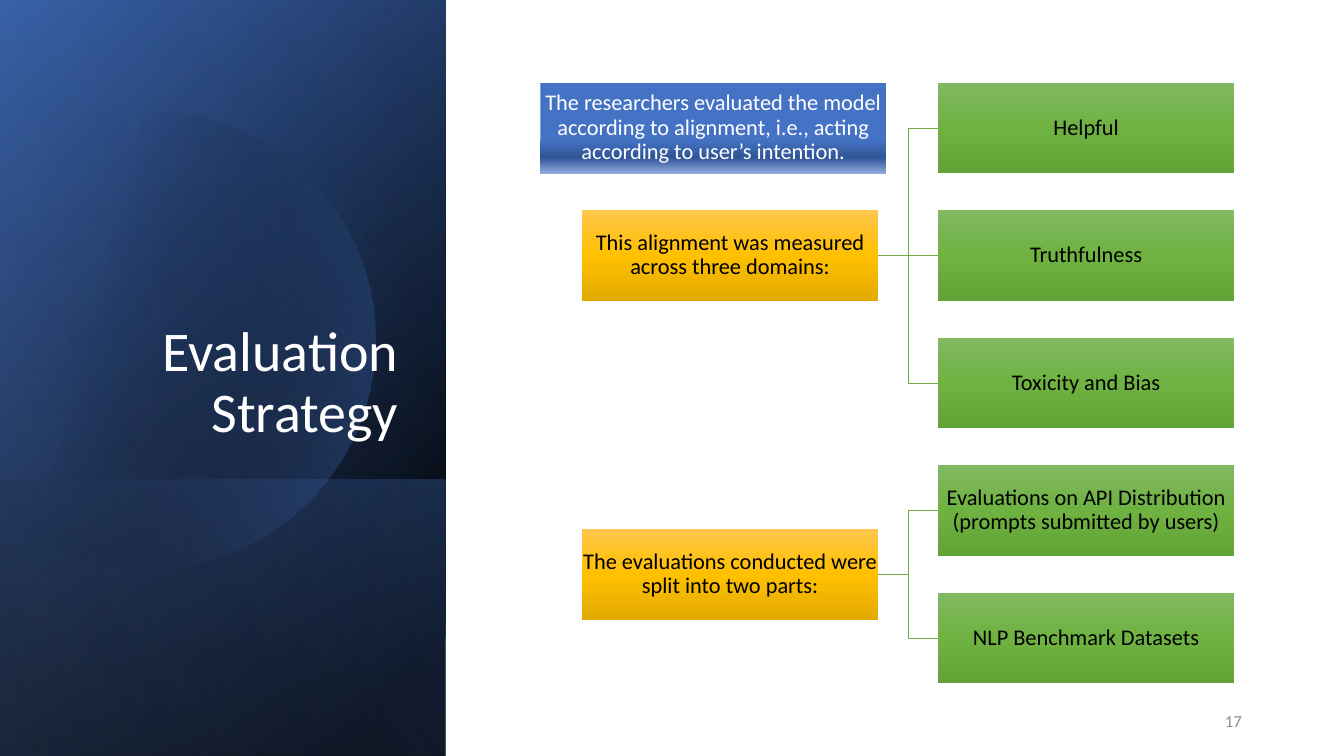
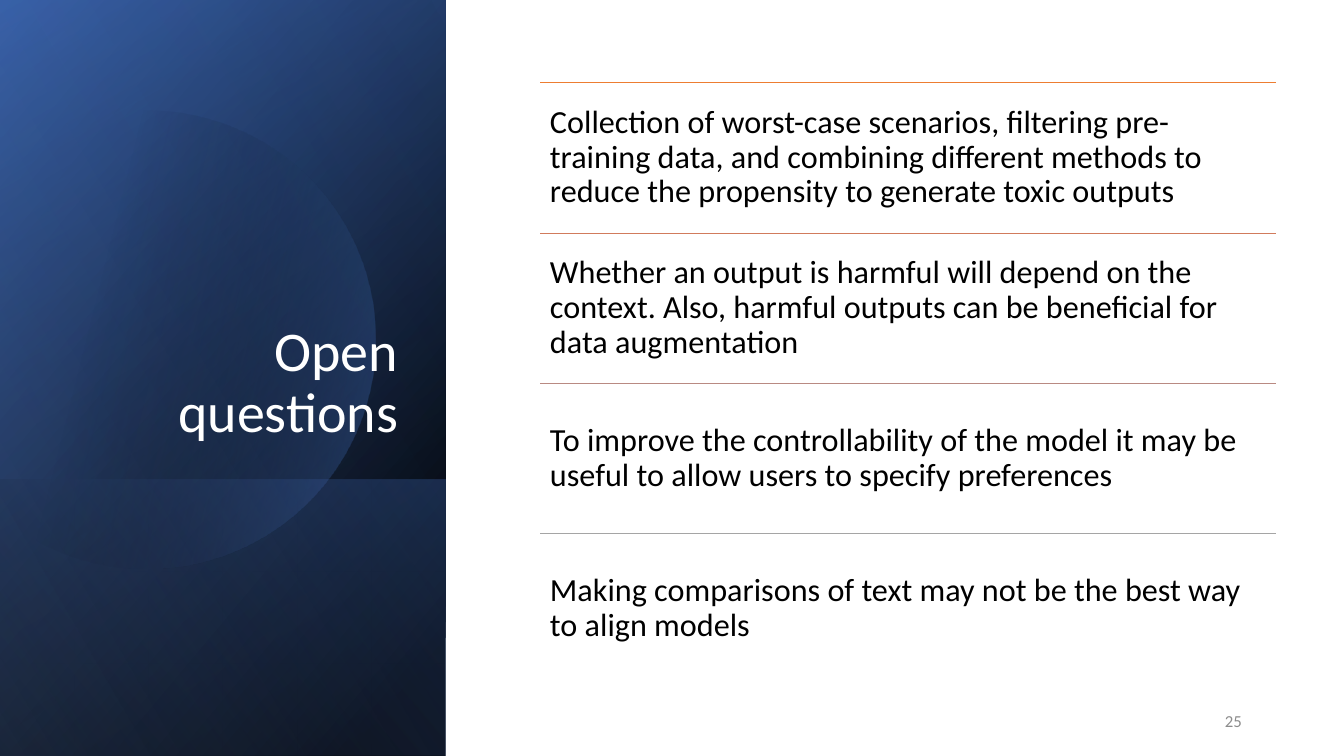
from dataclasses import dataclass
from math import acos, cos, sin, pi
from typing import NamedTuple

from lxml.etree import SubElement
from pptx import Presentation
from pptx.dml.color import RGBColor
from pptx.enum.shapes import MSO_CONNECTOR, MSO_SHAPE
from pptx.enum.text import MSO_ANCHOR, PP_ALIGN
from pptx.oxml import parse_xml
from pptx.oxml.ns import nsdecls, qn
from pptx.shapes.autoshape import Shape
from pptx.shapes.connector import Connector
from pptx.slide import Slide
from pptx.util import Pt

FONT = "Calibri"
WHITE, BLACK, GREY, GREEN_LINE = "FFFFFF", "000000", "8C8C8C", "70AD47"
SLIDE_W, SLIDE_H, PANEL_W = 960, 540, 318.3
CONTENT_LEFT, CONTENT_TOP = 386, 59
HAIRLINE = 0.5
RIGHT_SIDE, LEFT_SIDE = 3, 1


class Stop(NamedTuple):
    position: int
    colour: str
    opacity: int = 100


class Area(NamedTuple):
    left: float
    top: float
    width: float
    height: float


@dataclass(frozen=True)
class Gradient:
    angle: int
    stops: tuple[Stop, ...]


@dataclass(frozen=True)
class PanelLayer:
    area: Area
    gradient: Gradient


@dataclass(frozen=True)
class TextStyle:
    size: float
    colour: str
    align: PP_ALIGN
    anchor: MSO_ANCHOR = MSO_ANCHOR.MIDDLE
    inset_x: float = 7.2
    inset_y: float = 3.6
    spacing: float = 0.9


@dataclass(frozen=True)
class Branch:
    row: float
    text: str
    leaves: tuple[tuple[int, str], ...]


class Question(NamedTuple):
    rule_colour: str
    text: str


WHOLE_PANEL = Area(0, 0, PANEL_W, SLIDE_H)
LOWER_PANEL = Area(0, 342.8, PANEL_W, 197.2)
BASE_LAYERS = (
    PanelLayer(WHOLE_PANEL, Gradient(50, (Stop(8, BLACK), Stop(100, "2F5597")))),
    PanelLayer(WHOLE_PANEL, Gradient(30, (Stop(0, BLACK, 0), Stop(99, "4472C4", 46)))),
    PanelLayer(LOWER_PANEL, Gradient(130, (Stop(2, "4472C4", 29), Stop(100, BLACK, 30)))),
)
TOP_LAYER = PanelLayer(WHOLE_PANEL, Gradient(120, (Stop(0, BLACK, 0), Stop(99, "8FAADC", 11))))
DISC_GRADIENT = Gradient(14, (Stop(29, BLACK, 0), Stop(100, "4472C4", 43)))

BLUE = Gradient(90, (Stop(63, "4472C4"), Stop(83, "2F5597"), Stop(100, "8FAADC")))
GOLD = Gradient(90, (Stop(0, "FFC64B"), Stop(50, "FFC000"), Stop(100, "E3AB00")))
GREEN = Gradient(90, (Stop(0, "81B861"), Stop(50, "6FB242"), Stop(100, "62A336")))

TITLE = TextStyle(40, WHITE, PP_ALIGN.RIGHT, MSO_ANCHOR.BOTTOM)
PAGE_NUMBER = TextStyle(12, GREY, PP_ALIGN.RIGHT, spacing=1)
BOX_DARK = TextStyle(16, BLACK, PP_ALIGN.CENTER, inset_x=0.7, inset_y=0.7)
BOX_LIGHT = TextStyle(16, WHITE, PP_ALIGN.CENTER, inset_x=0.7, inset_y=0.7)
QUESTION = TextStyle(23, BLACK, PP_ALIGN.LEFT, inset_x=6.9, inset_y=6.9)

TITLE_AREA = Area(46, 132.5, 245.5, 188.6)
NUMBER_AREA = Area(678.2, 500.5, 216, 28.8)

HEADLINE = ("The researchers evaluated the model according to alignment, "
            "i.e., acting according to user’s intention.")
HEADLINE_W, BOX_W, BOX_H, ROW_PITCH = 247, 212, 64.8, 91.1
BRANCH_LEFT, LEAF_LEFT = 415.5, 669.8
BRANCHES = (
    Branch(1, "This alignment was measured across three domains:",
           ((0, "Helpful"), (1, "Truthfulness"), (2, "Toxicity and Bias"))),
    Branch(3.5, "The evaluations conducted were split into two parts:",
           ((3, "Evaluations on API Distribution (prompts submitted by users)"),
            (4, "NLP Benchmark Datasets"))),
)

QUESTION_W, QUESTION_H = 525.2, 107.4
QUESTIONS = (
    Question("ED7D31", "Collection of worst-case scenarios, filtering pre-training data, and "
             "combining different methods to reduce the propensity to generate toxic outputs"),
    Question("D17B5C", "Whether an output is harmful will depend on the context. Also, "
             "harmful outputs can be beneficial for data augmentation"),
    Question("B98A82", "To improve the controllability of the model it may be useful to allow "
             "users to specify preferences"),
    Question("A5A5A5", "Making comparisons of text may not be the best way to align models"),
)


def rgb(colour: str) -> RGBColor:
    return RGBColor.from_string(colour)


def points(area: Area) -> list[Pt]:
    return [Pt(length) for length in area]


def paint(shape: Shape, gradient: Gradient) -> None:
    """Give a shape a linear gradient, with no outline and no shadow."""
    shape.shadow.inherit = False
    shape.line.fill.background()
    shape.fill.background()
    stops = "".join(
        f'<a:gs pos="{stop.position * 1000}"><a:srgbClr val="{stop.colour}">'
        f'<a:alpha val="{stop.opacity * 1000}"/></a:srgbClr></a:gs>'
        for stop in gradient.stops)
    fill = parse_xml(
        f'<a:gradFill {nsdecls("a")} rotWithShape="1"><a:gsLst>{stops}</a:gsLst>'
        f'<a:lin ang="{gradient.angle * 60000}" scaled="0"/></a:gradFill>')
    properties = shape.element.spPr
    properties.replace(properties.find(qn("a:noFill")), fill)


def write(shape: Shape, text: str, style: TextStyle) -> None:
    frame = shape.text_frame
    frame.word_wrap = True
    frame.vertical_anchor = style.anchor
    frame.margin_left = frame.margin_right = Pt(style.inset_x)
    frame.margin_top = frame.margin_bottom = Pt(style.inset_y)
    paragraph = frame.paragraphs[0]
    paragraph.alignment = style.align
    paragraph.line_spacing = style.spacing
    run = paragraph.add_run()
    run.text = text
    run.font.name = FONT
    run.font.size = Pt(style.size)
    run.font.color.rgb = rgb(style.colour)


def add_text(slide: Slide, area: Area, text: str, style: TextStyle) -> None:
    write(slide.shapes.add_textbox(*points(area)), text, style)


def add_box(slide: Slide, area: Area, gradient: Gradient, text: str, style: TextStyle) -> Shape:
    box = slide.shapes.add_shape(MSO_SHAPE.RECTANGLE, *points(area))
    paint(box, gradient)
    write(box, text, style)
    return box


def style_line(line: Connector, colour: str) -> None:
    line.line.color.rgb = rgb(colour)
    line.line.width = Pt(HAIRLINE)
    SubElement(line.element.spPr, qn("a:effectLst"))


def add_panel_layer(slide: Slide, layer: PanelLayer) -> None:
    """Cover the layer's area with a mirrored rectangle on its side, which turns the gradient."""
    left, top, width, height = layer.area
    turned = Area(left + (width - height) / 2, top + (height - width) / 2, height, width)
    rectangle = slide.shapes.add_shape(MSO_SHAPE.RECTANGLE, *points(turned))
    rectangle.rotation = 90
    rectangle.element.spPr.xfrm.set("flipH", "1")
    paint(rectangle, layer.gradient)


def add_disc(slide: Slide) -> None:
    """Draw the disc that the left edge of the slide cuts off."""
    centre_x, centre_y, radius, steps = 105, 242.5, 163.5, 120
    reach = acos(-centre_x / radius)
    angles = [reach * (2 * step / steps - 1) for step in range(steps + 1)]
    rim = [(Pt(centre_x + radius * cos(angle)), Pt(centre_y + radius * sin(angle)))
           for angle in angles]
    builder = slide.shapes.build_freeform(*rim[0])
    builder.add_line_segments(rim[1:], close=True)
    paint(builder.convert_to_shape(), DISC_GRADIENT)


def add_base_slide(deck: Presentation, title: str, number: int) -> Slide:
    """Add a slide with the blue panel, its title and the page number."""
    slide = deck.slides.add_slide(deck.slide_layouts[6])
    for layer in BASE_LAYERS:
        add_panel_layer(slide, layer)
    add_disc(slide)
    add_panel_layer(slide, TOP_LAYER)
    add_text(slide, TITLE_AREA, title, TITLE)
    add_text(slide, NUMBER_AREA, str(number), PAGE_NUMBER)
    return slide


def row_area(left: float, row: float, width: float = BOX_W) -> Area:
    return Area(left, CONTENT_TOP + row * ROW_PITCH, width, BOX_H)


def join(slide: Slide, parent: Shape, leaf: Shape) -> None:
    level = parent.top == leaf.top
    kind = MSO_CONNECTOR.STRAIGHT if level else MSO_CONNECTOR.ELBOW
    link = slide.shapes.add_connector(kind, 0, 0, 0, 0)
    link.begin_connect(parent, RIGHT_SIDE)
    link.end_connect(leaf, LEFT_SIDE)
    style_line(link, GREEN_LINE)


def add_evaluation_tree(slide: Slide) -> None:
    add_box(slide, row_area(CONTENT_LEFT, 0, HEADLINE_W), BLUE, HEADLINE, BOX_LIGHT)
    for branch in BRANCHES:
        parent = add_box(slide, row_area(BRANCH_LEFT, branch.row), GOLD, branch.text, BOX_DARK)
        for row, text in branch.leaves:
            leaf = add_box(slide, row_area(LEAF_LEFT, row), GREEN, text, BOX_DARK)
            join(slide, parent, leaf)


def add_questions(slide: Slide) -> None:
    for index, question in enumerate(QUESTIONS):
        area = Area(CONTENT_LEFT, CONTENT_TOP + index * QUESTION_H, QUESTION_W, QUESTION_H)
        rule = slide.shapes.add_connector(
            MSO_CONNECTOR.STRAIGHT, Pt(area.left), Pt(area.top),
            Pt(area.left + area.width), Pt(area.top))
        style_line(rule, question.rule_colour)
        add_text(slide, area, question.text, QUESTION)


def main() -> None:
    deck = Presentation()
    deck.slide_width, deck.slide_height = Pt(SLIDE_W), Pt(SLIDE_H)
    add_evaluation_tree(add_base_slide(deck, "Evaluation Strategy", 17))
    add_questions(add_base_slide(deck, "Open questions", 25))
    deck.save("out.pptx")


if __name__ == "__main__":
    main()
